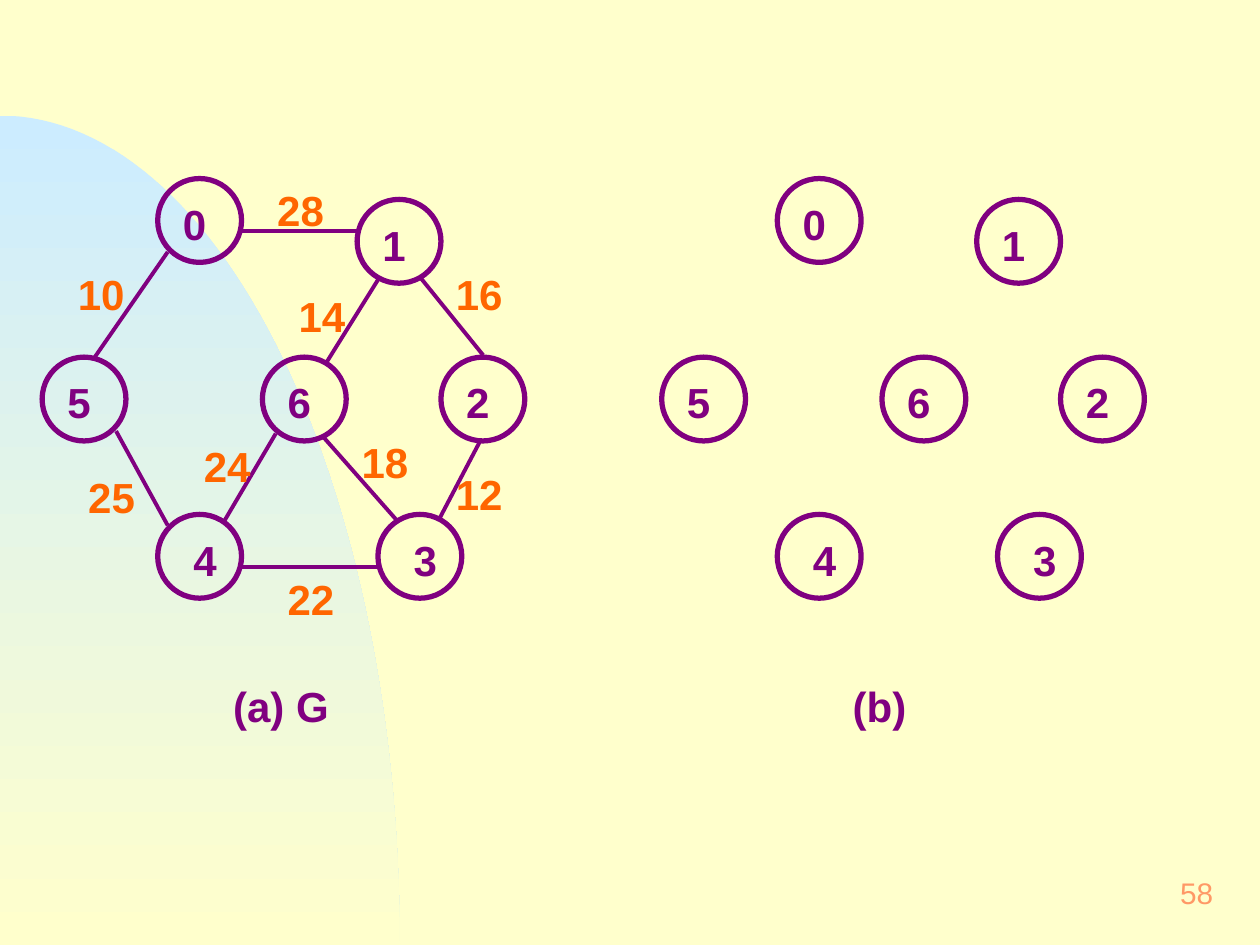
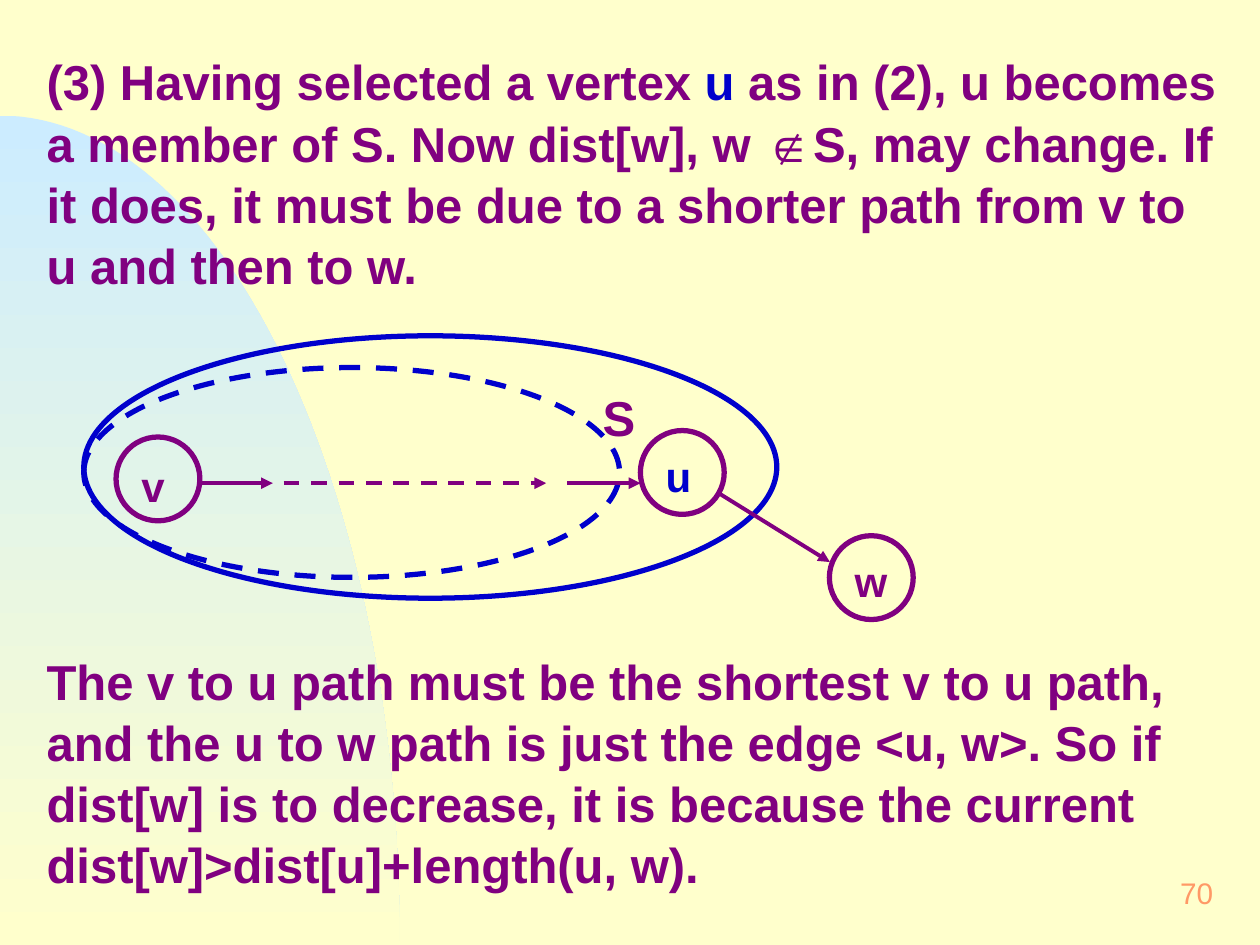
from math import cos, pi, sin

from lxml import etree
from pptx import Presentation
from pptx.dml.color import RGBColor
from pptx.enum.dml import MSO_LINE_DASH_STYLE as Dash
from pptx.enum.shapes import MSO_CONNECTOR as Connector, MSO_SHAPE as Shape
from pptx.enum.text import MSO_ANCHOR as Anchor, PP_ALIGN as Align
from pptx.oxml.ns import qn
from pptx.util import Cm, Pt

FONT = "Arial"
CREAM, SKY = "FFFFCC", "CCECFF"
PURPLE, BLUE, ORANGE, PEACH = "800080", "0000CC", "FF6600", "FF9966"
WIDTH, HEIGHT = 25.4, 19.05
HILL_WIDTH, HILL_HEIGHT = 8.06, 16.72
NODE = 1.69
LABEL_SIZE = (1.27, 1.32)
WEIGHT_SIZE = (1.91, 1.32)

# name: (left, top, label offset x); all lengths in cm
GRAPH_NODES = {
    "1": (7.2, 4.02, 0.21),
    "0": (3.18, 3.6, 0.21),
    "5": (0.85, 7.2, 0.21),
    "2": (8.89, 7.2, 0.21),
    "6": (5.29, 7.2, 0.21),
    "4": (3.18, 10.37, 0.42),
    "3": (7.62, 10.37, 0.42),
}
# weight, start, end, weight position
GRAPH_EDGES = [
    ("28", (7.2, 4.66), (4.87, 4.66), (5.29, 3.53)),
    ("16", (8.47, 5.59), (9.74, 7.16), (8.89, 5.23)),
    ("14", (7.62, 5.64), (6.56, 7.34), (5.72, 5.66)),
    ("10", (3.38, 5.08), (1.91, 7.2), (1.27, 5.23)),
    ("24", (5.56, 8.74), (4.5, 10.54), (3.81, 8.69)),
    ("25", (2.34, 8.69), (3.38, 10.59), (1.48, 9.32)),
    ("22", (7.62, 11.43), (4.87, 11.43), (5.5, 11.38)),
    ("18", (6.5, 8.79), (8, 10.49), (6.99, 8.61)),
    ("12", (9.68, 8.89), (8.84, 10.49), (8.89, 9.25)),
]
GRAPH_SHIFT = 12.49
CAPTIONS = ["(a) G", "(b)"]

# name, left, top, label offset y, label colour
PATH_NODES = [
    ("v", 2.34, 8.81, 0.28, PURPLE),
    ("u", 12.91, 8.68, 0.21, BLUE),
    ("w", 16.72, 10.8, 0.21, PURPLE),
]
# start, end, dash
PATH_ARROWS = [
    ((4.02, 9.74), (5.5, 9.74), None),
    ((11.43, 9.74), (12.91, 9.74), None),
    ((14.5, 9.95), (16.73, 11.33), None),
    ((5.72, 9.74), (11.01, 9.74), Dash.DASH),
]
# left, top, width, height, dash
VERTEX_SETS = [
    (1.69, 6.77, 13.97, 5.29, None),
    (1.69, 7.41, 10.8, 4.23, Dash.DASH),
]
# top, runs
STATEMENTS = [
    (0.85, [
        ("(3) Having selected a vertex ", PURPLE),
        ("u", BLUE),
        (" as in (2), u becomes a member of S. Now dist[w], w ∉S, may change. "
         "If it does, it must be due to a shorter path from v to u and then to w.", PURPLE),
    ]),
    (12.93, [
        ("The v to u path must be the shortest v to u path, and the u to w path is "
         "just the edge <u, w>. So if dist[w] is to decrease, it is because the "
         "current dist[w]>dist[u]+length(u, w).", PURPLE),
    ]),
]


def rgb(color):
    return RGBColor.from_string(color)


def set_line(line, color, width, dash=None):
    line.color.rgb = rgb(color)
    line.width = Pt(width)
    if dash:
        line.dash_style = dash


def add_text(s, left, top, size, runs, pt=24, bold=True, align=Align.LEFT,
             anchor=Anchor.TOP, inset=(0.3, 0.15), spacing=1.04):
    tf = s.shapes.add_textbox(Cm(left), Cm(top), Cm(size[0]), Cm(size[1])).text_frame
    tf.word_wrap = True
    tf.vertical_anchor = anchor
    tf.margin_left = tf.margin_right = Cm(inset[0])
    tf.margin_top = tf.margin_bottom = Cm(inset[1])
    p = tf.paragraphs[0]
    p.alignment = align
    p.line_spacing = spacing
    for text, color in runs:
        r = p.add_run()
        r.text = text
        r.font.name, r.font.size, r.font.bold = FONT, Pt(pt), bold
        r.font.color.rgb = rgb(color)


def add_ellipse(s, left, top, width, height, color, dash=None):
    sp = s.shapes.add_shape(Shape.OVAL, Cm(left), Cm(top), Cm(width), Cm(height))
    sp.shadow.inherit = False
    sp.fill.background()
    set_line(sp.line, color, 3, dash)


def add_node(s, name, left, top, dx=0.21, dy=0.21, color=PURPLE):
    add_ellipse(s, left, top, NODE, NODE, PURPLE)
    add_text(s, left + dx, top + dy, LABEL_SIZE, [(name, color)])


def add_edge(s, start, end, dash=None, arrow=False):
    c = s.shapes.add_connector(Connector.STRAIGHT, *map(Cm, start + end))
    set_line(c.line, PURPLE, 2.25, dash)
    if arrow:
        etree.SubElement(c.line._get_or_add_ln(), qn("a:tailEnd"), type="triangle")
    etree.SubElement(c._element.spPr, qn("a:effectLst"))


def add_hill(s):
    """Quarter ellipse in the lower left corner, fading into the background."""
    angles = [pi / 2 * i / 60 for i in range(61)]
    arc = [(Cm(HILL_WIDTH * sin(a)), Cm(HEIGHT - HILL_HEIGHT * cos(a))) for a in angles]
    builder = s.shapes.build_freeform(*arc[0])
    builder.add_line_segments(arc[1:] + [(0, Cm(HEIGHT))])
    sp = builder.convert_to_shape()
    sp.shadow.inherit = False
    sp.line.fill.background()
    sp.fill.gradient()
    sp.fill.gradient_angle = 270
    for stop, color, position in zip(sp.fill.gradient_stops, (SKY, CREAM), (0, 1)):
        stop.color.rgb = rgb(color)
        stop.position = position


def new_slide(prs, number):
    s = prs.slides.add_slide(prs.slide_layouts[6])
    s.background.fill.solid()
    s.background.fill.fore_color.rgb = rgb(CREAM)
    add_hill(s)
    add_text(s, 19.47, 17.36, (5.29, 1.27), [(number, PEACH)], pt=17, bold=False,
             align=Align.RIGHT, anchor=Anchor.MIDDLE, spacing=1)
    return s


def build_graph_slide(prs):
    s = new_slide(prs, "58")
    for _, start, end, _ in GRAPH_EDGES:
        add_edge(s, start, end)
    for i, caption in enumerate(CAPTIONS):
        shift = i * GRAPH_SHIFT
        for name, (left, top, dx) in GRAPH_NODES.items():
            add_node(s, name, left + shift, top, dx)
        add_text(s, 4.45 + shift, 13.55, (2.75, 1.27), [(caption, PURPLE)],
                 inset=(0.25, 0.13))
    for weight, _, _, place in GRAPH_EDGES:
        add_text(s, *place, WEIGHT_SIZE, [(weight, ORANGE)])


def build_path_slide(prs):
    s = new_slide(prs, "70")
    for name, left, top, dy, color in PATH_NODES:
        add_node(s, name, left, top, dy=dy, color=color)
    for left, top, width, height, dash in VERTEX_SETS:
        add_ellipse(s, left, top, width, height, BLUE, dash)
    add_text(s, 11.85, 7.62, (1.27, 1.49), [("S", PURPLE)], pt=28)
    for start, end, dash in PATH_ARROWS:
        add_edge(s, start, end, dash, arrow=True)
    for top, runs in STATEMENTS:
        add_text(s, 0.64, top, (24.34, 5.05), runs, pt=28)


def main():
    prs = Presentation()
    prs.slide_width, prs.slide_height = Cm(WIDTH), Cm(HEIGHT)
    build_graph_slide(prs)
    build_path_slide(prs)
    prs.save("out.pptx")


if __name__ == "__main__":
    main()
